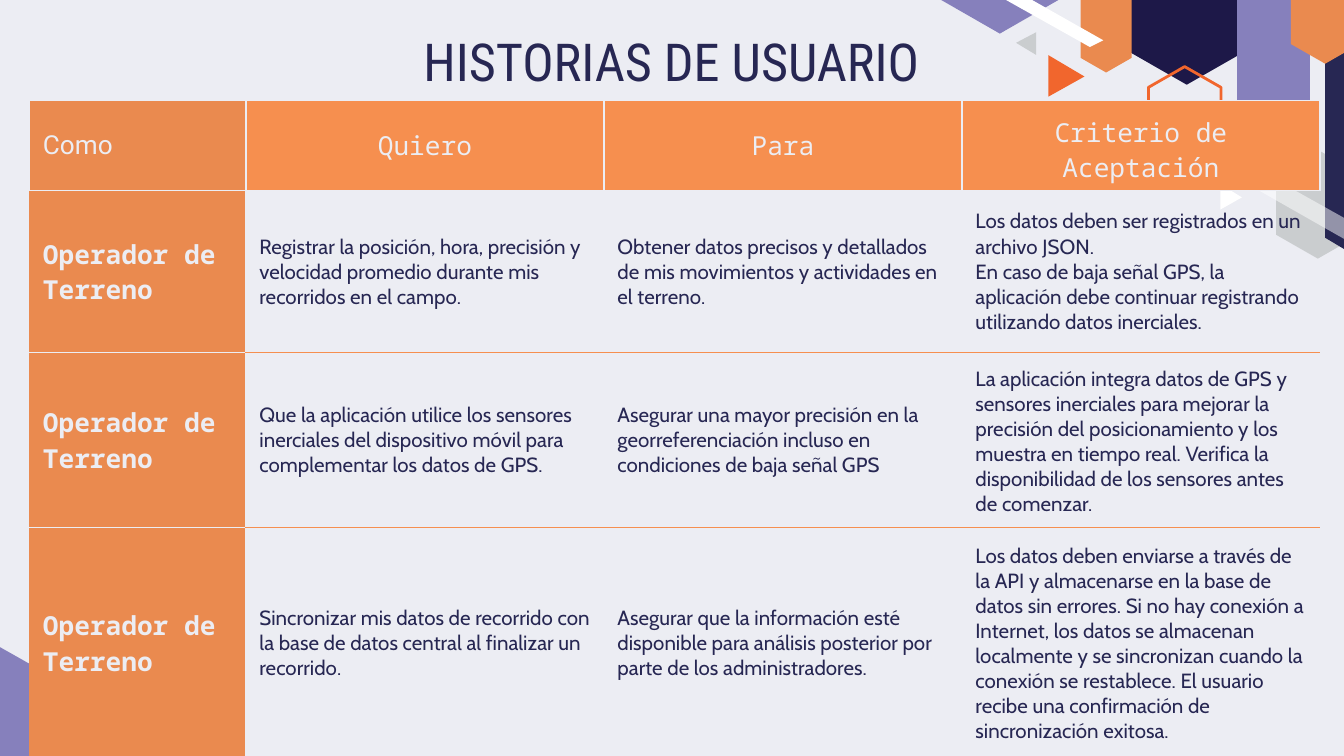
from dataclasses import dataclass

from lxml.etree import SubElement
from pptx import Presentation
from pptx.dml.color import RGBColor
from pptx.enum.shapes import MSO_SHAPE
from pptx.enum.text import MSO_ANCHOR, PP_ALIGN
from pptx.oxml.ns import qn
from pptx.util import Pt


@dataclass(frozen=True)
class Theme:
    light: str = "ECEDF3"
    navy: str = "272753"
    dark: str = "1D1848"
    grey: str = "CACDCF"
    violet: str = "8680BC"
    white: str = "FFFFFF"
    orange: str = "EA8A4F"
    bright: str = "F68F4F"
    red: str = "F1662D"
    title_font: str = "Roboto Condensed"
    corner_font: str = "Roboto"
    label_font: str = "Noto Sans Mono"
    body_font: str = "Cabin"
    title_size: float = 28
    label_size: float = 14
    body_size: float = 11
    rule: float = 0.75
    outline: float = 1.5


T = Theme()
INSET = 7.2
COLUMNS = [116, 191.8, 191.8, 191.8]
ROWS = [29.5, 87, 87, 124]
HEADERS = ["Como", "Quiero", "Para", "Criterio de Aceptación"]
ROLE = "Operador de Terreno"
STORIES = [
    ["Registrar la posición, hora, precisión y velocidad promedio durante mis "
     "recorridos en el campo.",
     "Obtener datos precisos y detallados de mis movimientos y actividades en el terreno.",
     "Los datos deben ser registrados en un archivo JSON.\n"
     "En caso de baja señal GPS, la aplicación debe continuar registrando "
     "utilizando datos inerciales."],
    ["Que la aplicación utilice los sensores inerciales del dispositivo móvil para "
     "complementar los datos de GPS.",
     "Asegurar una mayor precisión en la georreferenciación incluso en condiciones "
     "de baja señal GPS",
     "La aplicación integra datos de GPS y sensores inerciales para mejorar la "
     "precisión del posicionamiento y los muestra en tiempo real. Verifica la "
     "disponibilidad de los sensores antes de comenzar."],
    ["Sincronizar mis datos de recorrido con la base de datos central al finalizar "
     "un recorrido.",
     "Asegurar que la información esté disponible para análisis posterior por parte "
     "de los administradores.",
     "Los datos deben enviarse a través de la API y almacenarse en la base de datos "
     "sin errores. Si no hay conexión a Internet, los datos se almacenan localmente "
     "y se sincronizan cuando la conexión se restablece. El usuario recibe una "
     "confirmación de sincronización exitosa."],
]


def rgb(color):
    return RGBColor.from_string(color)


def paint(s, fill=None, line=None):
    s.shadow.inherit = False
    if fill:
        s.fill.solid()
        s.fill.fore_color.rgb = rgb(fill)
    else:
        s.fill.background()
    if line:
        s.line.color.rgb = rgb(line)
        s.line.width = Pt(T.outline)
    else:
        s.line.fill.background()


def add_hexagon(slide, box, fill=None, line=None):
    """Add a hexagon standing on a corner; box is its frame before the quarter turn."""
    s = slide.shapes.add_shape(MSO_SHAPE.HEXAGON, *map(Pt, box))
    s.adjustments[0] = 0.286
    s.rotation = 90
    paint(s, fill, line)


def add_polygon(slide, points, fill, alpha=None):
    start, *rest = [(Pt(x), Pt(y)) for x, y in points]
    builder = slide.shapes.build_freeform(*start)
    builder.add_line_segments(rest, close=True)
    s = builder.convert_to_shape()
    paint(s, fill)
    if alpha:
        color = s._element.spPr.find(qn("a:solidFill"))[0]
        SubElement(color, qn("a:alpha"), val=str(alpha * 1000))


def add_decoration(slide):
    add_hexagon(slide, (597.6, -26.6, 76.3, 67.7), T.dark)
    add_hexagon(slide, (676.8, 87.1, 58.3, 44.6), T.grey)
    add_polygon(slide, [(535.7, -20.9), (569.5, -1.4), (535.7, 18), (501.8, -1.4)], T.violet)
    add_polygon(slide, [(561.6, 29.5), (581, 41), (561.6, 51.8)], T.red)
    add_polygon(slide, [(653.8, 98.6), (665.3, 105.8), (653.8, 112.3)], T.white)
    add_polygon(slide, [(555.1, 17.3), (555.1, 29.5), (544.3, 23)], T.grey)
    add_polygon(slide, [(709.9, -23.8), (729.4, -12.2), (729.4, 139), (709.9, 127.4)], T.navy)
    add_polygon(slide, [(658.1, 82.1), (743, 129.6), (733, 135.4), (648, 87.1)], T.white, 50)
    add_hexagon(slide, (565.2, -2.2, 54.7, 27.4), T.orange)
    add_polygon(slide, [(531.4, -12.2), (591.1, 21.6), (583.9, 25.2), (524.9, -7.9)], T.white)
    add_hexagon(slide, (622.1, 4.3, 120.2, 38.9), T.violet)
    add_hexagon(slide, (673.2, -20.9, 73.4, 36.7), T.orange)
    add_hexagon(slide, (612.7, 38.2, 43.9, 38.9), line=T.red)
    add_polygon(slide, [(-0.7, 346.3), (-106.6, 406.1), (-0.7, 466.6), (105.1, 406.1)], T.violet)


def style_text(tf, font, size, color, bold=False, align=PP_ALIGN.LEFT):
    for p in tf.paragraphs:
        p.alignment = align
        p.font.name = font
        p.font.size = Pt(size)
        p.font.bold = bold
        p.font.color.rgb = rgb(color)


def add_title(slide, text):
    tf = slide.shapes.add_textbox(Pt(91.4), Pt(8.6), Pt(536.4), Pt(45.4)).text_frame
    tf.word_wrap = True
    tf.margin_left = tf.margin_right = tf.margin_top = tf.margin_bottom = Pt(INSET)
    tf.text = text
    style_text(tf, T.title_font, T.title_size, T.navy, align=PP_ALIGN.CENTER)


def set_borders(cell, **colors):
    """Draw the sides named L, R, T or B in their colours and hide the others."""
    tc_pr = cell._tc.get_or_add_tcPr()
    for side in "LRTB":
        ln = SubElement(tc_pr, qn(f"a:ln{side}"), w=str(Pt(T.rule)))
        if colors.get(side):
            fill = SubElement(ln, qn("a:solidFill"))
            SubElement(fill, qn("a:srgbClr"), val=colors[side])
        else:
            SubElement(ln, qn("a:noFill"))


def fill_cell(cell, text, fill=None, inset_y=INSET, **text_style):
    cell.text = text
    cell.vertical_anchor = MSO_ANCHOR.MIDDLE
    cell.margin_left = cell.margin_right = Pt(INSET)
    cell.margin_top = cell.margin_bottom = Pt(inset_y)
    if fill:
        cell.fill.solid()
        cell.fill.fore_color.rgb = rgb(fill)
    else:
        cell.fill.background()
    style_text(cell.text_frame, **text_style)


def add_story_table(slide):
    frame = slide.shapes.add_table(len(ROWS), len(COLUMNS), Pt(15.8), Pt(54),
                                   Pt(sum(COLUMNS)), Pt(sum(ROWS)))
    table = frame.table
    table.first_row = table.horz_banding = False
    for column, width in zip(table.columns, COLUMNS):
        column.width = Pt(width)
    for row, height in zip(table.rows, ROWS):
        row.height = Pt(height)

    label = dict(font=T.label_font, size=T.label_size, color=T.light)
    body = dict(font=T.body_font, size=T.body_size, color=T.navy)
    for j, text in enumerate(HEADERS):
        cell = table.cell(0, j)
        set_borders(cell, L=T.light, R=T.light, T=T.light, B=T.light)
        if j == 0:
            fill_cell(cell, text, T.orange, **{**label, "font": T.corner_font})
        else:
            fill_cell(cell, text, T.bright, align=PP_ALIGN.CENTER, **label)
    for i, story in enumerate(STORIES, 1):
        role = table.cell(i, 0)
        set_borders(role, R=T.light, T=T.light, B=T.light)
        fill_cell(role, ROLE, T.orange, inset_y=0, bold=True, **label)
        for j, text in enumerate(story, 1):
            cell = table.cell(i, j)
            set_borders(cell, L=T.light if j == 1 else None,
                        T=T.light if i == 1 else T.bright,
                        B=T.bright if i < len(STORIES) else None)
            fill_cell(cell, text, **body)


def main():
    prs = Presentation()
    prs.slide_width, prs.slide_height = Pt(720), Pt(405)
    slide = prs.slides.add_slide(prs.slide_layouts[6])
    slide.background.fill.solid()
    slide.background.fill.fore_color.rgb = rgb(T.light)
    add_decoration(slide)
    add_title(slide, "HISTORIAS DE USUARIO")
    add_story_table(slide)
    prs.save("out.pptx")


if __name__ == "__main__":
    main()
